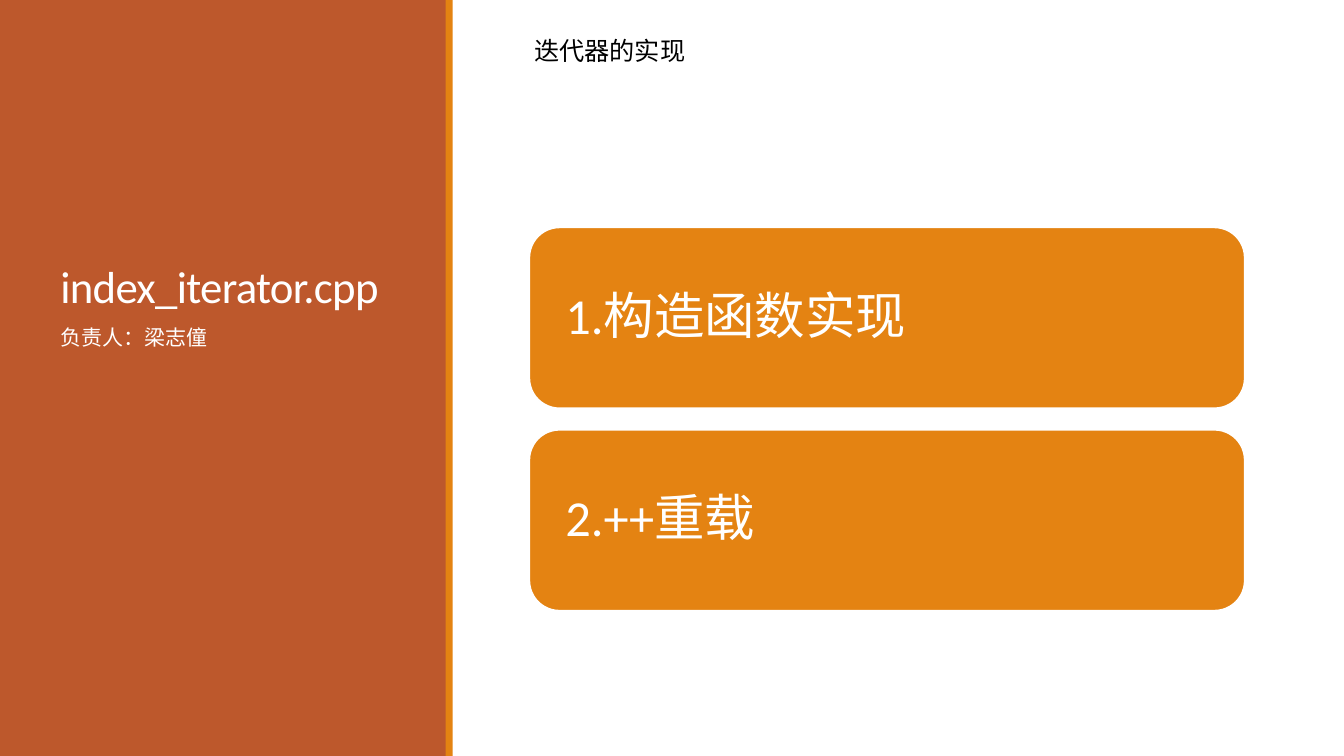
from dataclasses import dataclass

from pptx import Presentation
from pptx.dml.color import RGBColor
from pptx.enum.shapes import MSO_SHAPE
from pptx.enum.text import MSO_ANCHOR, PP_ALIGN
from pptx.util import Cm, Pt

RECTANGLE, ROUNDED = MSO_SHAPE.RECTANGLE, MSO_SHAPE.ROUNDED_RECTANGLE
TOP, MIDDLE, BOTTOM = MSO_ANCHOR.TOP, MSO_ANCHOR.MIDDLE, MSO_ANCHOR.BOTTOM
LEFT = PP_ALIGN.LEFT

TITLE = "index_iterator.cpp"
OWNER = "负责人：梁志僮"
HEADING = "迭代器的实现"
STEPS = ["1.构造函数实现", "2.++重载"]


@dataclass(frozen=True)
class Theme:
    font: str = "Calibri"
    white: RGBColor = RGBColor(0xFF, 0xFF, 0xFF)
    black: RGBColor = RGBColor(0, 0, 0)
    rust: RGBColor = RGBColor(0xBD, 0x58, 0x2C)
    orange: RGBColor = RGBColor(0xE4, 0x83, 0x12)
    title: float = 32
    step: float = 36
    heading: float = 18
    owner: float = 15
    title_tracking: int = -50


THEME = Theme()
PAGE_WIDTH, PAGE_HEIGHT = 33.87, 19.05
PANEL_WIDTH, STRIPE_LEFT, STRIPE_WIDTH = 11.25, 11.23, 0.18
PANEL_TEXT_LEFT, PANEL_TEXT_WIDTH = 1.27, 8.89
CARD_LEFT, CARD_TOP, CARD_WIDTH, CARD_HEIGHT = 13.34, 5.73, 18.03, 4.56
CARD_GAP, CARD_INSET = 0.54, 0.69


def add_block(page, kind, left, top, width, height, color):
    block = page.shapes.add_shape(kind, Cm(left), Cm(top), Cm(width), Cm(height))
    block.shadow.inherit = False
    block.fill.solid()
    block.fill.fore_color.rgb = color
    block.line.fill.background()
    return block


def write(box, text, size, color, anchor=TOP, line_spacing=1.0):
    frame = box.text_frame
    frame.text = text
    frame.word_wrap = True
    frame.vertical_anchor = anchor
    para = frame.paragraphs[0]
    para.alignment = LEFT
    para.line_spacing = line_spacing
    span = para.runs[0]
    span.font.name = THEME.font
    span.font.size = Pt(size)
    span.font.color.rgb = color
    return span


def add_text(page, left, top, width, height, *style):
    box = page.shapes.add_textbox(Cm(left), Cm(top), Cm(width), Cm(height))
    return write(box, *style)


def add_card(page, index, text):
    top = CARD_TOP + index * (CARD_HEIGHT + CARD_GAP)
    card = add_block(page, ROUNDED, CARD_LEFT, top, CARD_WIDTH, CARD_HEIGHT, THEME.orange)
    card.line.color.rgb = THEME.white
    card.line.width = Pt(1.25)
    write(card, text, THEME.step, THEME.white, MIDDLE, 0.9)
    frame = card.text_frame
    frame.margin_left = frame.margin_right = Cm(CARD_INSET)
    frame.margin_top = frame.margin_bottom = Cm(CARD_INSET)


def main():
    deck = Presentation()
    deck.slide_width, deck.slide_height = Cm(PAGE_WIDTH), Cm(PAGE_HEIGHT)
    page = deck.slides.add_slide(deck.slide_layouts[6])

    add_block(page, RECTANGLE, 0, 0, PANEL_WIDTH, PAGE_HEIGHT, THEME.rust)
    add_block(page, RECTANGLE, STRIPE_LEFT, 0, STRIPE_WIDTH, PAGE_HEIGHT, THEME.orange)

    title = add_text(page, PANEL_TEXT_LEFT, 1.65, PANEL_TEXT_WIDTH, 6.35,
                     TITLE, THEME.title, THEME.white, BOTTOM, 0.85)
    title.font._element.set("spc", str(THEME.title_tracking))

    for index, text in enumerate(STEPS):
        add_card(page, index, text)

    add_text(page, PANEL_TEXT_LEFT, 8.13, PANEL_TEXT_WIDTH, 9.4,
             OWNER, THEME.owner, THEME.white, TOP, 0.9)
    add_text(page, 13.21, 0.76, 18.26, 1.02, HEADING, THEME.heading, THEME.black)

    deck.save("out.pptx")


if __name__ == "__main__":
    main()
